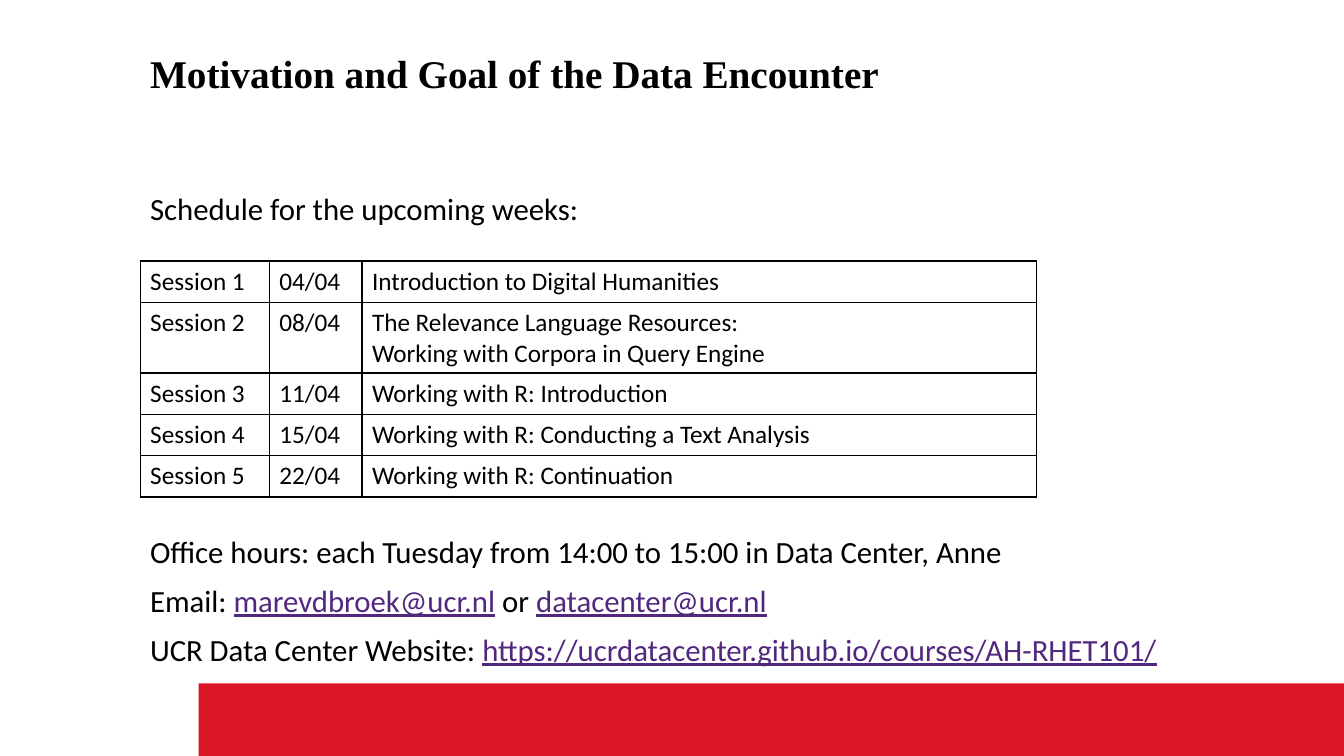
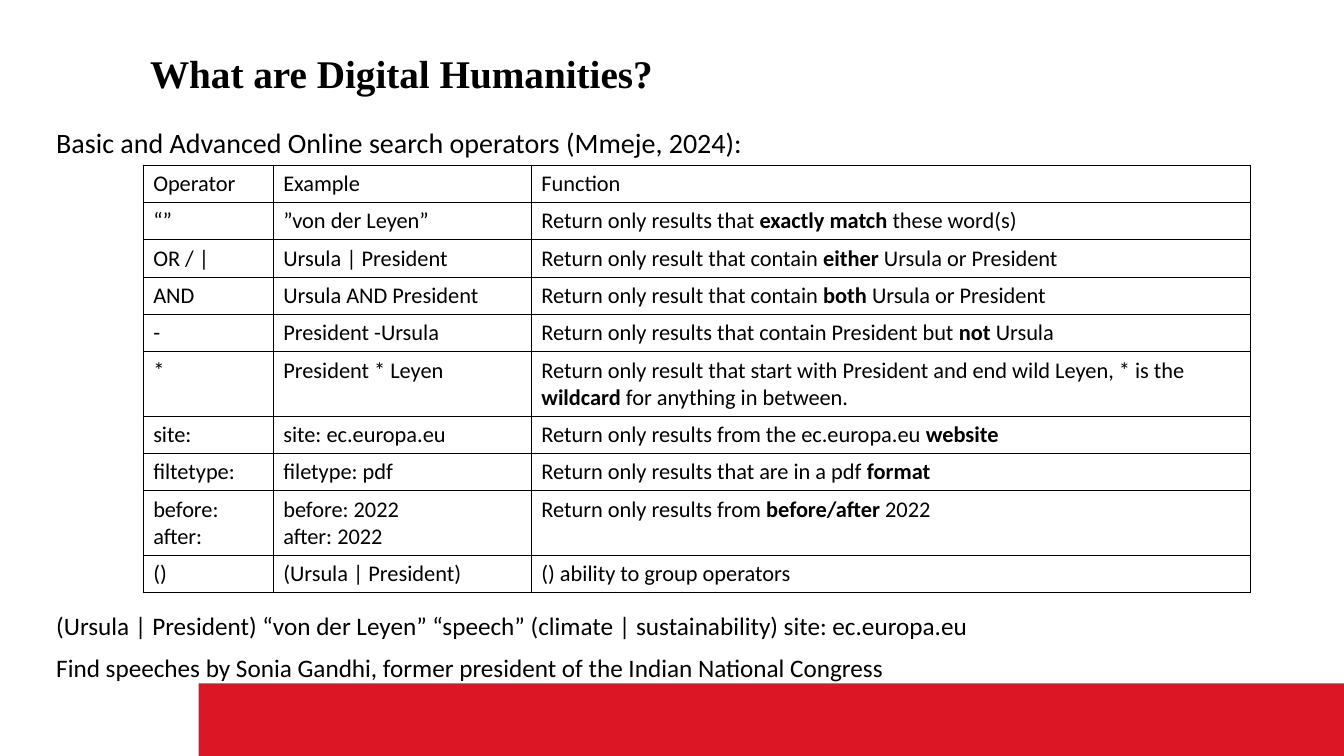
from dataclasses import dataclass

from lxml.etree import SubElement
from pptx import Presentation
from pptx.dml.color import RGBColor
from pptx.enum.shapes import MSO_SHAPE
from pptx.oxml.ns import qn
from pptx.util import Inches, Pt


@dataclass(frozen=True)
class Theme:
    ink: RGBColor = RGBColor.from_string("000000")
    link: RGBColor = RGBColor.from_string("52287F")
    band: RGBColor = RGBColor.from_string("DC1624")
    title_font: str = "Times New Roman"
    body_font: str = "Calibri"
    title_size: int = 28
    large: int = 22
    lead: int = 20
    text: int = 18
    small: int = 16


theme = Theme()

# Slide content: ** encloses stressed words
schedule = {
    "title": "Motivation and Goal of the Data Encounter",
    "texts": [  # left, top, width, height, size, lines
        (1.39, 1.8, 10.54, 0.5, theme.large, ["Schedule for the upcoming weeks:"]),
        (1.39, 5.2, 10.54, 1.5, theme.large, [
            "Office hours: each Tuesday from 14:00 to 15:00 in Data Center, Anne",
            "Email: **marevdbroek@ucr.nl** or **datacenter@ucr.nl**",
            "UCR Data Center Website: **https://ucrdatacenter.github.io/courses/AH-RHET101/**",
        ]),
    ],
    "table_at": (1.39, 2.59),
    "columns": [1.28, 0.92, 6.69],
    "row_heights": (0.41, 0.7),  # one line, two lines
    "table_size": theme.text,
    "rows": [
        ["Session 1", "04/04", "Introduction to Digital Humanities"],
        ["Session 2", "08/04",
         "The Relevance Language Resources:\nWorking with Corpora in Query Engine"],
        ["Session 3", "11/04", "Working with R: Introduction"],
        ["Session 4", "15/04", "Working with R: Conducting a Text Analysis"],
        ["Session 5", "22/04", "Working with R: Continuation"],
    ],
    "tall_row": 1,
}
operators = {
    "title": "What are Digital Humanities?",
    "texts": [
        (0.46, 1.16, 12.87, 0.47, theme.lead,
         ["Basic and Advanced Online search operators (Mmeje, 2024):"]),
        (0.46, 5.98, 12.87, 0.8, theme.text, [
            "(Ursula | President) “von der Leyen” “speech” (climate | sustainability) "
            "site: ec.europa.eu",
            "Find speeches by Sonia Gandhi, former president of the Indian National Congress",
        ]),
    ],
    "table_at": (1.42, 1.64),
    "columns": [1.29, 2.56, 7.13],
    "row_heights": (0.37, 0.64),
    "table_size": theme.small,
    "rows": [
        ["Operator", "Example", "Function"],
        ["“”", "”von der Leyen”",
         "Return only results that **exactly match** these word(s)"],
        ["OR / |", "Ursula | President",
         "Return only result that contain **either** Ursula or President"],
        ["AND", "Ursula AND President",
         "Return only result that contain **both** Ursula or President"],
        ["-", "President -Ursula",
         "Return only results that contain President but **not** Ursula"],
        ["*", "President * Leyen",
         "Return only result that start with President and end wild Leyen, * is the "
         "**wildcard** for anything in between."],
        ["site:", "site: ec.europa.eu",
         "Return only results from the ec.europa.eu **website**"],
        ["filtetype:", "filetype: pdf",
         "Return only results that are in a pdf **format**"],
        ["before:\nafter:", "before: 2022\nafter: 2022",
         "Return only results from **before/after** 2022"],
        ["()", "(Ursula | President)", "() ability to group operators"],
    ],
    "tall_row": 5,
}


def write(frame, lines, size, name=theme.body_font, bold=False, links=False):
    """Write one paragraph a line; stressed words become links or bold."""
    frame.word_wrap = True
    for index, line in enumerate(lines):
        para = frame.paragraphs[0] if index == 0 else frame.add_paragraph()
        para.font.name, para.font.size, para.font.bold = name, Pt(size), bold
        para.font.color.rgb = theme.ink
        for part, words in enumerate(line.split("**")):
            if not words:
                continue
            span = para.add_run()
            span.text = words
            if part % 2 and links:
                span.font.underline = True
                span.font.color.rgb = theme.link
            elif part % 2:
                span.font.bold = True


def outline(cell):
    """Draw a thin line on each side of a cell, with no fill."""
    properties = cell._tc.get_or_add_tcPr()
    for side in ("a:lnL", "a:lnR", "a:lnT", "a:lnB"):
        border = SubElement(properties, qn(side), w=str(Pt(1)))
        fill = SubElement(border, qn("a:solidFill"))
        SubElement(fill, qn("a:srgbClr"), val=str(theme.ink))
    cell.fill.background()


deck = Presentation()
deck.slide_width, deck.slide_height = Inches(13.33), Inches(7.5)

for content in (schedule, operators):
    page = deck.slides.add_slide(deck.slide_layouts[6])

    # Footer band
    band = page.shapes.add_shape(MSO_SHAPE.RECTANGLE, Inches(1.97), Inches(6.78),
                                 Inches(11.36), Inches(0.72))
    band.shadow.inherit = False
    band.fill.solid()
    band.fill.fore_color.rgb = theme.band
    band.line.fill.background()

    # Title
    title = page.shapes.add_textbox(Inches(1.39), Inches(0.44), Inches(10.54), Inches(0.7))
    write(title.text_frame, [content["title"]], theme.title_size, theme.title_font, bold=True)

    # Text above and below the table
    for left, top, width, height, size, lines in content["texts"]:
        box = page.shapes.add_textbox(Inches(left), Inches(top), Inches(width), Inches(height))
        write(box.text_frame, lines, size, links=True)
        for index, para in enumerate(box.text_frame.paragraphs):
            para.line_spacing = 1.1
            para.space_before = Pt(6 if index else 0)

    # Table
    rows, columns = content["rows"], content["columns"]
    single, double = content["row_heights"]
    heights = [double if index == content["tall_row"] or "\n" in row[0] else single
               for index, row in enumerate(rows)]
    left, top = content["table_at"]
    table = page.shapes.add_table(len(rows), len(columns), Inches(left), Inches(top),
                                  Inches(sum(columns)), Inches(sum(heights))).table
    table.first_row = table.horz_banding = False
    for column, width in zip(table.columns, columns):
        column.width = Inches(width)
    for table_row, height, row in zip(table.rows, heights, rows):
        table_row.height = Inches(height)
        for cell, text in zip(table_row.cells, row):
            outline(cell)
            write(cell.text_frame, text.split("\n"), content["table_size"])

deck.save("out.pptx")
